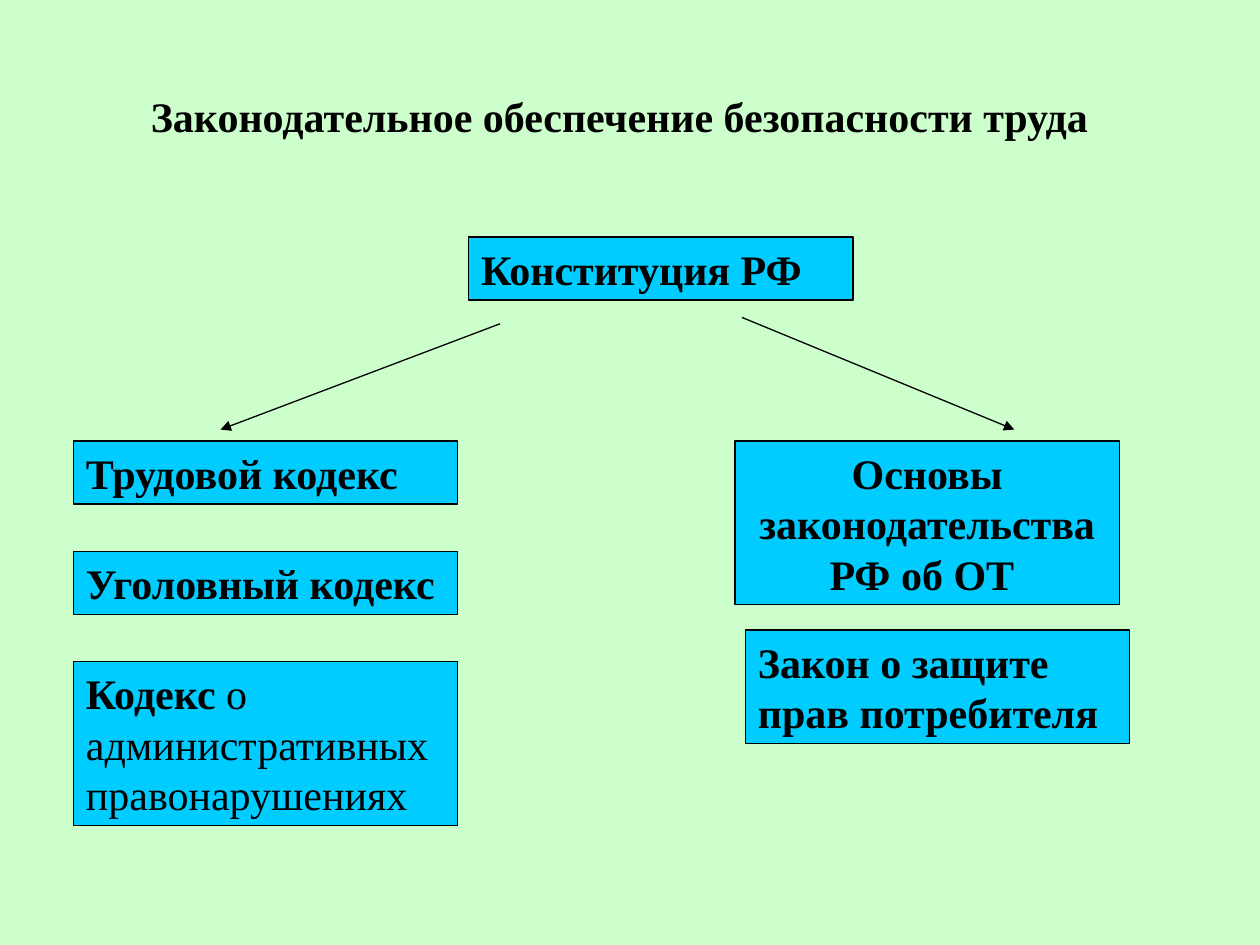
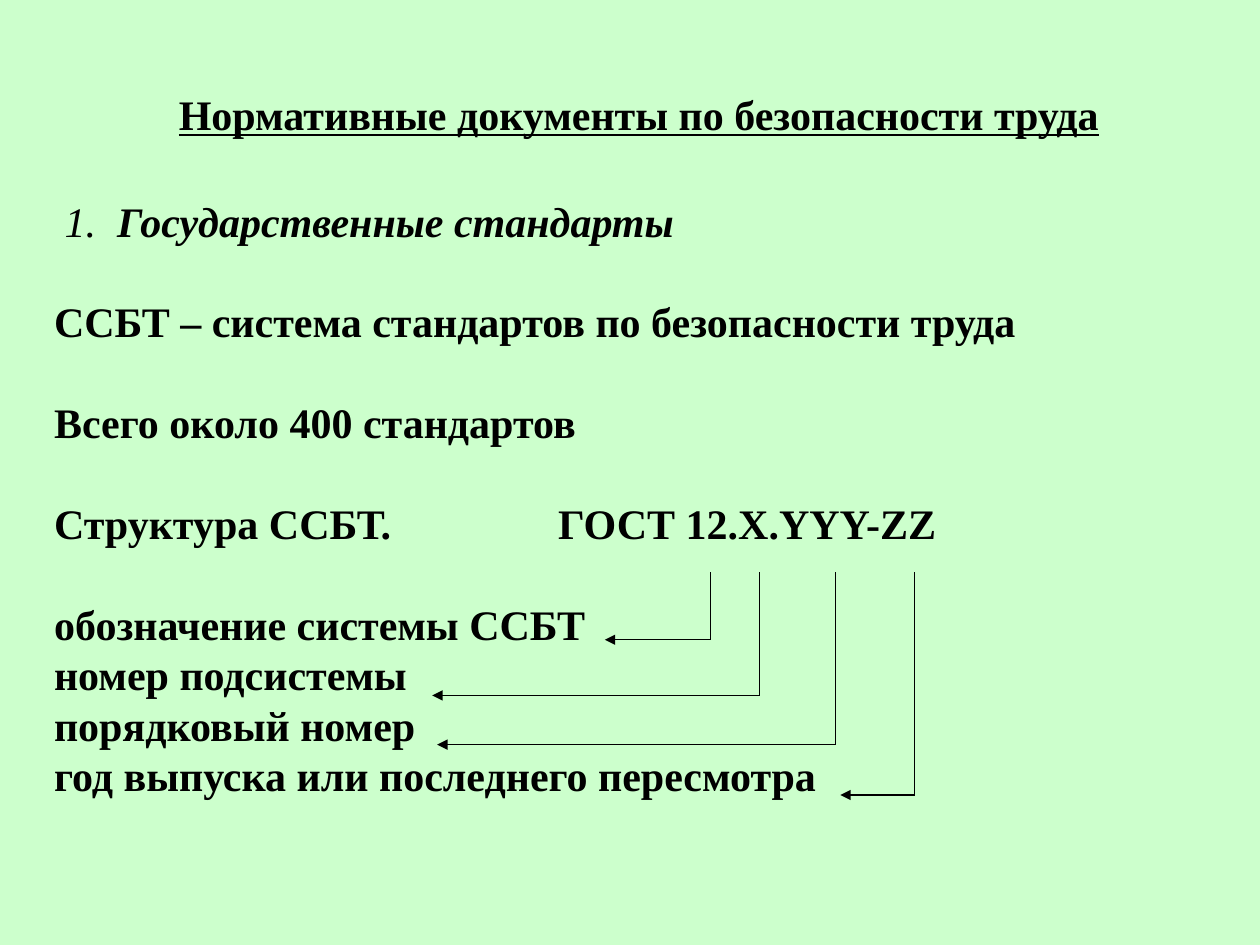
from dataclasses import dataclass

from lxml import etree
from pptx import Presentation
from pptx.dml.color import RGBColor
from pptx.enum import shapes, text
from pptx.oxml import ns
from pptx.util import Pt

COLORS = {"background": "CCFFCC", "box": "00CCFF", "ink": "000000"}
FONT = "Times New Roman"
FONT_SIZE = 24
LINE = 28.8
INSET_X, INSET_Y = 7.2, 3.6
BOX_WIDTH = 219.6
LEFT, CENTER = text.PP_ALIGN.LEFT, text.PP_ALIGN.CENTER


@dataclass(frozen=True)
class Box:
    left: float
    top: float
    lines: int
    bold: str
    plain: str = ""
    align: text.PP_ALIGN = LEFT


@dataclass(frozen=True)
class Line:
    x1: float
    y1: float
    x2: float
    y2: float
    arrow: bool = True


@dataclass(frozen=True)
class Bracket:
    """Drop from one part of the standard's number to its explanation."""
    x: float
    bottom: float
    tip: float


@dataclass(frozen=True)
class Entry:
    text: str
    gap: bool = False


SOURCES = [
    Box(267.8, 135.4, 1, "Конституция РФ"),
    Box(42, 252, 1, "Трудовой кодекс"),
    Box(42, 315, 1, "Уголовный кодекс"),
    Box(42, 378, 3, "Кодекс", " о административных правонарушениях"),
    Box(420, 252, 3, "Основы законодательства РФ об ОТ ", align=CENTER),
    Box(426, 360, 2, "Закон о защите прав потребителя"),
]
BRANCHES = [
    Line(285.8, 185, 126, 245.5),
    Line(424, 181.4, 579.6, 245.5),
]
ENTRIES = [
    Entry("1.\tГосударственные стандарты"),
    Entry("ССБТ – система стандартов по безопасности труда", True),
    Entry("Всего около 400 стандартов", True),
    Entry("Структура ССБТ.\tГОСТ 12.Х.YYY-ZZ", True),
    Entry("обозначение системы ССБТ", True),
    Entry("номер подсистемы"),
    Entry("порядковый номер"),
    Entry("год выпуска или последнего пересмотра"),
]
BRACKET_TOP = 327
BRACKETS = [
    Bracket(406, 365.6, 345.6),
    Bracket(434.2, 397.4, 247),
    Bracket(477.4, 425.5, 249.8),
    Bracket(522.7, 454.3, 480.2),
]


def rgb(name: str) -> RGBColor:
    return RGBColor.from_string(COLORS[name])


def format_run(r, bold: bool = True, italic: bool = False, underline: bool = False) -> None:
    f = r.font
    f.name, f.size = FONT, Pt(FONT_SIZE)
    f.bold, f.italic, f.underline = bold, italic, underline
    f.color.rgb = rgb("ink")


def format_paragraph(p, align=LEFT, before: float = 0, **style) -> None:
    p.alignment = align
    p.line_spacing = Pt(LINE)
    p.space_before = Pt(before)
    for r in p.runs:
        format_run(r, **style)


def format_frame(tf, anchor=text.MSO_ANCHOR.TOP) -> None:
    tf.word_wrap = True
    tf.auto_size = text.MSO_AUTO_SIZE.NONE
    tf.vertical_anchor = anchor
    tf.margin_left = tf.margin_right = Pt(INSET_X)
    tf.margin_top = tf.margin_bottom = Pt(INSET_Y)


def add_titled_slide(prs, title: str, left: float, top: float, width: float, **style):
    s = prs.slides.add_slide(prs.slide_layouts[5])
    sp = s.shapes.title
    sp.left, sp.top, sp.width, sp.height = Pt(left), Pt(top), Pt(width), Pt(36)
    tf = sp.text_frame
    tf.text = title
    format_frame(tf)
    format_paragraph(tf.paragraphs[0], CENTER, **style)
    return s


def add_box(s, box: Box) -> None:
    height = 2 * INSET_Y + box.lines * LINE
    sp = s.shapes.add_shape(shapes.MSO_SHAPE.RECTANGLE, Pt(box.left), Pt(box.top),
                            Pt(BOX_WIDTH), Pt(height))
    sp.shadow.inherit = False
    sp.fill.solid()
    sp.fill.fore_color.rgb = rgb("box")
    sp.line.color.rgb = rgb("ink")
    sp.line.width = Pt(0.75)
    tf = sp.text_frame
    tf.text = box.bold
    format_frame(tf, text.MSO_ANCHOR.MIDDLE)
    p = tf.paragraphs[0]
    format_paragraph(p, box.align)
    if box.plain:
        r = p.add_run()
        r.text = box.plain
        format_run(r, bold=False)


def add_line(s, line: Line) -> None:
    c = s.shapes.add_connector(shapes.MSO_CONNECTOR.STRAIGHT, Pt(line.x1), Pt(line.y1),
                               Pt(line.x2), Pt(line.y2))
    c.line.color.rgb = rgb("ink")
    c.line.width = Pt(0.75)
    if line.arrow:
        etree.SubElement(c.line._get_or_add_ln(), ns.qn("a:tailEnd"), type="triangle")
    etree.SubElement(c._element.spPr, ns.qn("a:effectLst"))


def add_bracket(s, b: Bracket) -> None:
    add_line(s, Line(b.x, BRACKET_TOP, b.x, b.bottom, arrow=False))
    add_line(s, Line(b.x, b.bottom, b.tip, b.bottom))


def set_hanging_indent(p, margin: float, hang: float) -> None:
    pPr = p._p.get_or_add_pPr()
    pPr.set("marL", str(Pt(margin)))
    pPr.set("indent", str(-Pt(hang)))


def add_tab_stop(p, position: float) -> None:
    tabs = etree.SubElement(p._p.get_or_add_pPr(), ns.qn("a:tabLst"))
    etree.SubElement(tabs, ns.qn("a:tab"), pos=str(Pt(position)), algn="l")


def add_entries(s, entries: list[Entry]) -> None:
    sp = s.shapes.add_textbox(Pt(23.8), Pt(108), Pt(636), Pt(381.6))
    tf = sp.text_frame
    tf.text = "\n".join(e.text for e in entries)
    format_frame(tf)
    for p, entry in zip(tf.paragraphs, entries):
        format_paragraph(p, before=LINE if entry.gap else 0)
    heading, structure = tf.paragraphs[0], tf.paragraphs[3]
    number, name = heading.text.split("\t")
    heading.text = number + "\t"
    format_paragraph(heading, bold=False, italic=True)
    r = heading.add_run()
    r.text = name
    format_run(r, italic=True)
    set_hanging_indent(heading, 36, 30)
    add_tab_stop(structure, 288)


def build_legislation(prs) -> None:
    s = add_titled_slide(prs, "Законодательное обеспечение безопасности труда ", 42, 48, 630)
    for box in SOURCES:
        add_box(s, box)
    for branch in BRANCHES:
        add_line(s, branch)


def build_standards(prs) -> None:
    s = add_titled_slide(prs, "Нормативные документы по безопасности труда", 80, 46.8, 570,
                         underline=True)
    add_entries(s, ENTRIES)
    for bracket in BRACKETS:
        add_bracket(s, bracket)


def main() -> None:
    prs = Presentation()
    prs.slide_width, prs.slide_height = Pt(720), Pt(540)
    fill = prs.slide_master.background.fill
    fill.solid()
    fill.fore_color.rgb = rgb("background")
    build_legislation(prs)
    build_standards(prs)
    prs.save("out.pptx")


if __name__ == "__main__":
    main()
